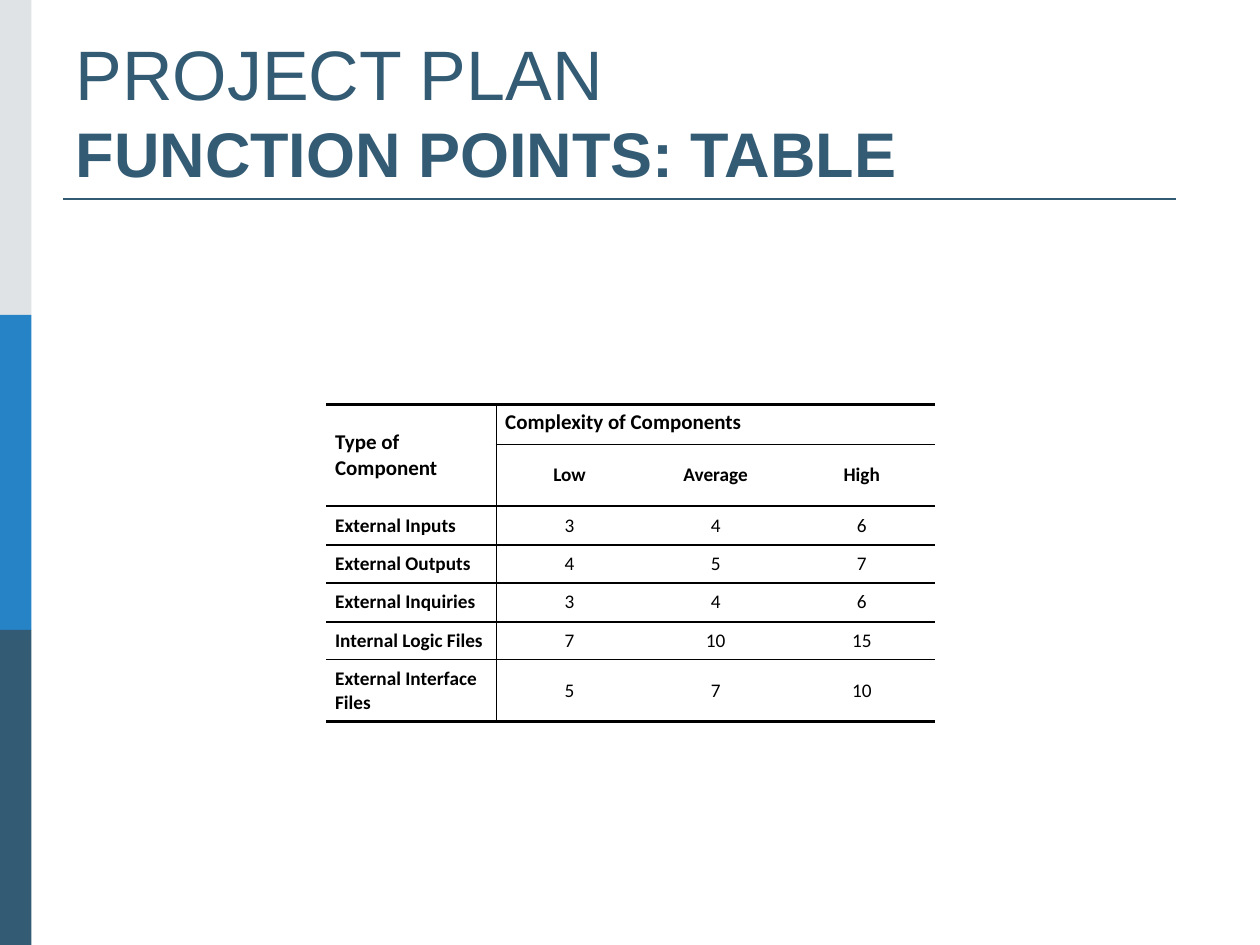
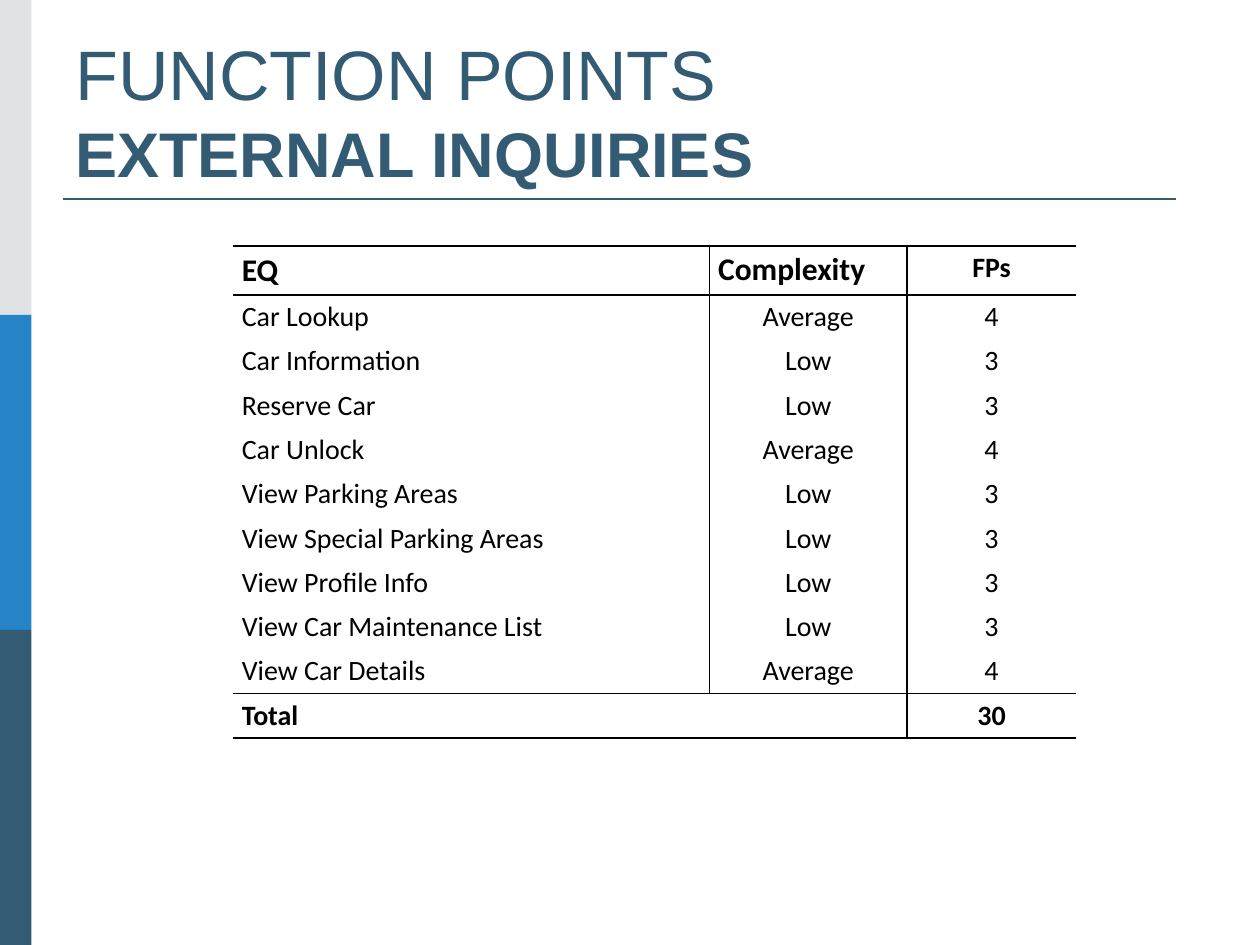
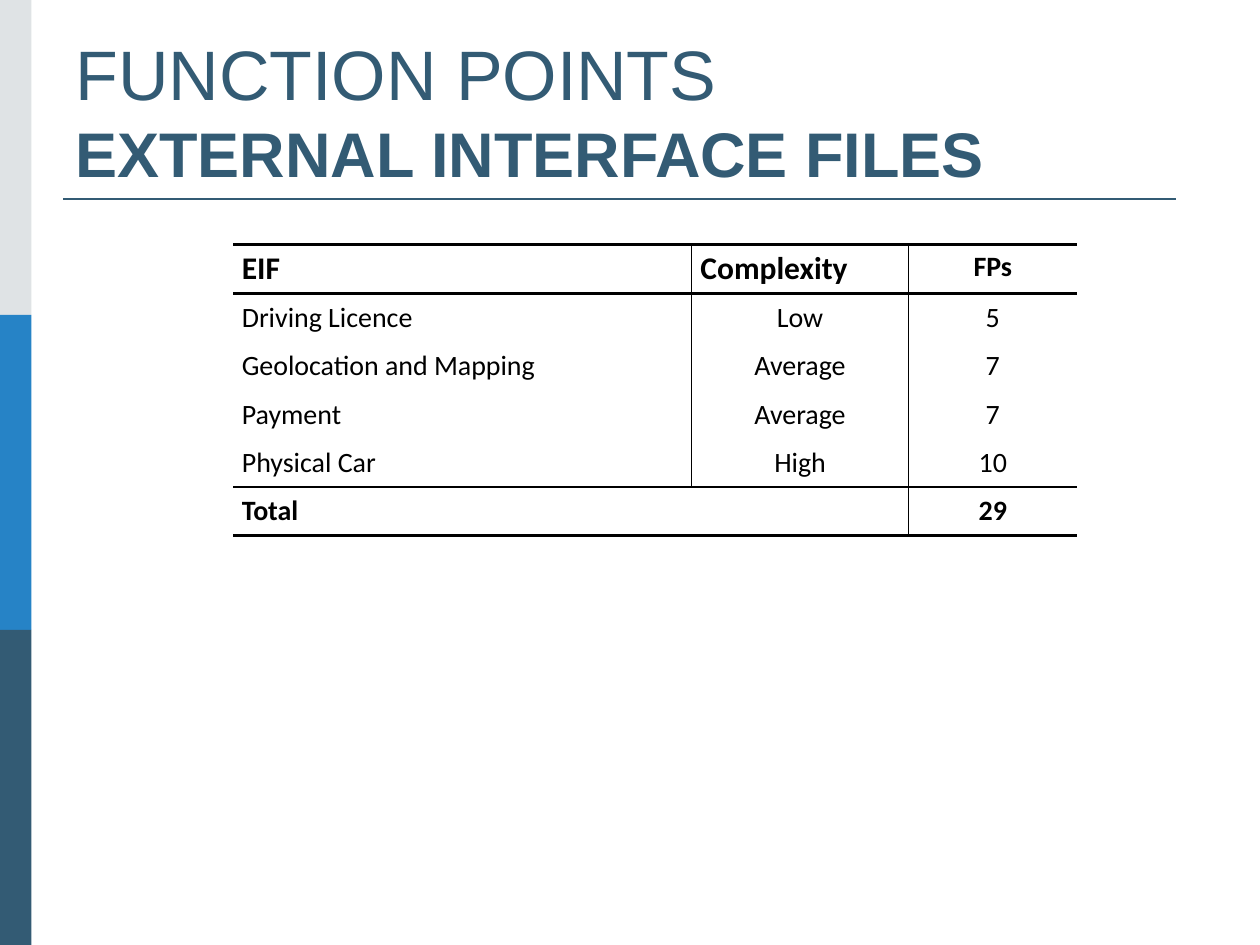
import pptx
import pptx.util
import pptx.dml.color
import pptx.enum.shapes
import pptx.enum.text
import pptx.oxml
import pptx.oxml.ns
from lxml import etree

Inches, Pt = pptx.util.Inches, pptx.util.Pt
ALIGN, ANCHOR = pptx.enum.text.PP_ALIGN, pptx.enum.text.MSO_ANCHOR
qn = pptx.oxml.ns.qn

COLORS = {"pale": "DFE3E5", "blue": "2683C6", "navy": "335B74", "ink": "000000"}
BANDS = ("pale", "blue", "navy")
PLAIN_STYLE = "{2D5ABB26-0587-4C30-8999-92F81FD0307C}"
THICK, THIN = 1.5, 1

# "rules" maps a row edge to its line width, "bars" a column edge.
# A span is first row, first column, last row, last column.
WEIGHTS = {
    "title": ("PROJECT PLAN", "FUNCTION POINTS: TABLE"),
    "at": (2.59, 3.21),
    "cols": (1.35, 1.16, 1.16, 1.16),
    "heights": (0.32, 0.48, 0.31, 0.3, 0.31, 0.3, 0.49),
    "sizes": (12, 11),
    "spans": ((0, 0, 1, 0), (0, 1, 0, 3)),
    "rules": {0: THICK, 1: THIN, 2: THICK, 3: THIN, 4: THIN, 5: THIN, 6: THIN, 7: THICK},
    "bars": {1: THIN},
    "bold_rows": (0, 1),
    "bold_cols": (0,),
    "rows": [
        ("Type of Component", "Complexity of Components", "", ""),
        ("", "Low", "Average", "High"),
        ("External Inputs", "3", "4", "6"),
        ("External Outputs", "4", "5", "7"),
        ("External Inquiries", "3", "4", "6"),
        ("Internal Logic Files", "7", "10", "15"),
        ("External Interface Files", "5", "7", "10"),
    ],
}


def count(name, head, at, cols, high, items, total):
    """Describe a table of items with their points and a total row."""
    last = len(items) + 1
    top = 0.39
    return {
        "title": ("FUNCTION POINTS", name),
        "at": at,
        "cols": cols,
        "heights": [top] + [(high - top) / last] * last,
        "sizes": (18, 16),
        "spans": ((last, 0, last, 1),),
        "rules": {0: THICK, 1: THICK, last: THIN, last + 1: THICK},
        "bars": {1: THIN, 2: THIN},
        "bold_rows": (0, last),
        "bold_cols": (),
        "rows": [(head, "Complexity", "FPs"), *items, ("Total", "", total)],
    }


INQUIRIES = count("EXTERNAL INQUIRIES", "EQ", (1.85, 1.95), (3.78, 1.57, 1.34), 3.9, [
    ("Car Lookup", "Average", "4"),
    ("Car Information", "Low", "3"),
    ("Reserve Car", "Low", "3"),
    ("Car Unlock", "Average", "4"),
    ("View Parking Areas", "Low", "3"),
    ("View Special Parking Areas", "Low", "3"),
    ("View Profile Info", "Low", "3"),
    ("View Car Maintenance List", "Low", "3"),
    ("View Car Details", "Average", "4"),
], "30")

FILES = count("EXTERNAL INTERFACE FILES", "EIF", (1.85, 1.94), (3.64, 1.72, 1.34), 2.31, [
    ("Driving Licence", "Low", "5"),
    ("Geolocation and Mapping", "Average", "7"),
    ("Payment", "Average", "7"),
    ("Physical Car", "High", "10"),
], "29")


def paint(name):
    return pptx.dml.color.RGBColor.from_string(COLORS[name])


def put(target, values):
    for key, value in values.items():
        setattr(target, key, value)


def write(para, text, font, size, bold, color):
    run = para.add_run()
    run.text = text
    put(run.font, {"name": font, "size": Pt(size), "bold": bold})
    run.font.color.rgb = paint(color)


def dress(slide, layout):
    """Draw the side bands and title rule, then move them to the layout."""
    parts = []
    step = 7.5 / len(BANDS)
    for i, name in enumerate(BANDS):
        band = slide.shapes.add_shape(
            pptx.enum.shapes.MSO_SHAPE.RECTANGLE,
            0, Inches(i * step), Inches(0.25), Inches(step))
        band.shadow.inherit = False
        band.fill.solid()
        band.fill.fore_color.rgb = paint(name)
        band.line.fill.background()
        parts.append(band)
    rule = slide.shapes.add_connector(
        pptx.enum.shapes.MSO_CONNECTOR.STRAIGHT,
        Inches(0.5), Inches(1.58), Inches(9.33), Inches(1.58))
    rule.line.color.rgb = paint("navy")
    rule.line.width = Pt(1.5)
    etree.SubElement(rule.element.spPr, qn("a:effectLst"))
    parts.append(rule)
    for i, part in enumerate(parts):
        layout.shapes.element.insert(2 + i, part.element)


def head(slide, lines):
    title = slide.shapes.title
    put(title, {"left": Inches(0.5), "top": Inches(0.3),
                "width": Inches(9), "height": Inches(1.25)})
    frame = title.text_frame
    put(frame, {"word_wrap": True, "auto_size": pptx.enum.text.MSO_AUTO_SIZE.NONE,
                "vertical_anchor": ANCHOR.BOTTOM,
                "margin_top": 0, "margin_bottom": Inches(0.04)})
    para = frame.paragraphs[0]
    put(para, {"alignment": ALIGN.LEFT, "line_spacing": Pt(43)})
    write(para, lines[0], "Arial", 40, False, "navy")
    para.add_line_break()
    write(para, lines[1], "Arial", 36, True, "navy")


def edge(cell, widths):
    """Set left, right, top and bottom borders; None leaves a side bare."""
    props = cell._tc.get_or_add_tcPr()
    for i, (side, width) in enumerate(zip("LRTB", widths)):
        line = etree.Element(qn(f"a:ln{side}"))
        if width:
            line.set("w", str(Pt(width)))
            fill = etree.SubElement(line, qn("a:solidFill"))
            etree.SubElement(fill, qn("a:srgbClr")).set("val", COLORS["ink"])
        else:
            etree.SubElement(line, qn("a:noFill"))
        props.insert(i, line)


def grid(slide, data):
    rows, cols, heights = data["rows"], data["cols"], data["heights"]
    left, top = data["at"]
    frame = slide.shapes.add_table(
        len(rows), len(cols), Inches(left), Inches(top),
        Inches(sum(cols)), Inches(sum(heights)))
    frame.element.find(".//" + qn("a:tableStyleId")).text = PLAIN_STYLE
    table = frame.table
    put(table, {"first_row": False, "horz_banding": False})
    for col, width in zip(table.columns, cols):
        col.width = Inches(width)
    for row, height in zip(table.rows, heights):
        row.height = Inches(height)
    ends = {}
    for r, c, low, far in data["spans"]:
        table.cell(r, c).merge(table.cell(low, far))
        ends[r, c] = low, far

    big, small = data["sizes"]
    rules, bars = data["rules"], data["bars"]
    for r, row in enumerate(rows):
        for c, text in enumerate(row):
            cell = table.cell(r, c)
            first = r == 0 and c > 0
            put(cell, {"margin_left": Inches(0.07), "margin_right": Inches(0.07),
                       "margin_top": Inches(0.04), "margin_bottom": Inches(0.04),
                       "vertical_anchor": ANCHOR.TOP if first else ANCHOR.MIDDLE})
            cell.fill.background()
            if cell.is_spanned:
                continue
            low, far = ends.get((r, c), (r, c))
            edge(cell, (bars.get(c), bars.get(far + 1),
                        rules.get(r), rules.get(low + 1)))
            para = cell.text_frame.paragraphs[0]
            middle = c > 0 and (r, c) != (0, 1)
            para.alignment = ALIGN.CENTER if middle else ALIGN.LEFT
            write(para, text, "Calibri", big if r == 0 and c < 2 else small,
                  r in data["bold_rows"] or c in data["bold_cols"], "ink")


def main():
    deck = pptx.Presentation()
    put(deck, {"slide_width": Inches(10), "slide_height": Inches(7.5)})
    layout = deck.slide_layouts[5]
    for i, data in enumerate((WEIGHTS, INQUIRIES, FILES)):
        slide = deck.slides.add_slide(layout)
        if i == 0:
            dress(slide, layout)
        head(slide, data["title"])
        grid(slide, data)
    deck.save("out.pptx")


if __name__ == "__main__":
    main()
